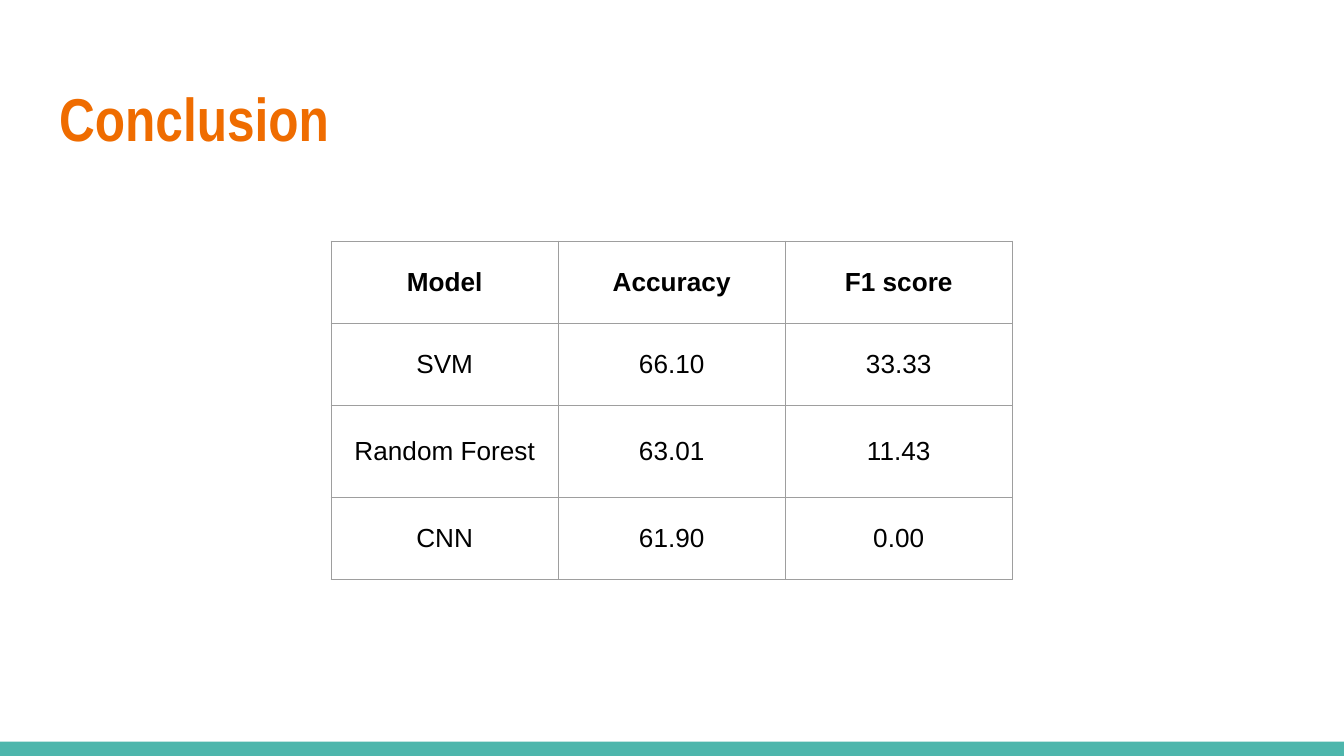
from lxml import etree
from pptx import Presentation
from pptx import util as u
from pptx.dml import color
from pptx.enum import shapes, text
from pptx.oxml import ns

INSET = u.Cm(0.25)


def paint(target, value):
    """Give a fill a solid colour."""
    target.solid()
    target.fore_color.rgb = color.RGBColor.from_string(value)


def write(frame, words, size=14, font="Arial", ink="000000", bold=False, align=text.PP_ALIGN.LEFT):
    """Put one formatted line of text into a frame."""
    para = frame.paragraphs[0]
    para.alignment = align
    span = para.add_run()
    span.text = words
    span.font.size = u.Pt(size)
    span.font.name = font
    span.font.bold = bold
    paint(span.font.fill, ink)


def set_margins(holder):
    """Give a cell or text frame the same inset on each side."""
    for side in ("left", "right", "top", "bottom"):
        setattr(holder, f"margin_{side}", INSET)


def outline(cell, ink, width):
    """Draw a line on all four sides of a cell."""
    props = cell._tc.get_or_add_tcPr()
    for index, side in enumerate(("lnL", "lnR", "lnT", "lnB")):
        line = etree.Element(ns.qn(f"a:{side}"), w=str(u.Pt(width)))
        fill = etree.SubElement(line, ns.qn("a:solidFill"))
        etree.SubElement(fill, ns.qn("a:srgbClr"), val=ink)
        props.insert(index, line)


class Board:
    """Hold the style and the current slide."""

    accent, band, grid = "EF6C00", "4DB6AC", "9E9E9E"

    def __init__(self, slide):
        """Keep the slide and give it a white background."""
        self.slide = slide
        paint(slide.background.fill, "FFFFFF")

    def bar(self, left, top, width, height):
        """Add a plain coloured strip."""
        area = map(u.Cm, (left, top, width, height))
        box = self.slide.shapes.add_shape(shapes.MSO_SHAPE.RECTANGLE, *area)
        box.shadow.inherit = False
        box.line.fill.background()
        paint(box.fill, self.band)

    def title(self, words, left, top, width, height):
        """Add the slide heading."""
        area = map(u.Cm, (left, top, width, height))
        frame = self.slide.shapes.add_textbox(*area).text_frame
        frame.word_wrap = True
        frame.vertical_anchor = text.MSO_ANCHOR.MIDDLE
        set_margins(frame)
        write(frame, words, size=32.4, font="Arial Narrow", ink=self.accent, bold=True)

    def table(self, rows, left, top, column_width, heights):
        """Add a ruled table whose first row is bold."""
        columns = len(rows[0])
        area = map(u.Cm, (left, top, column_width * columns, sum(heights)))
        table = self.slide.shapes.add_table(len(rows), columns, *area).table
        table.first_row = table.horz_banding = False
        for column in table.columns:
            column.width = u.Cm(column_width)
        for index, (values, height) in enumerate(zip(rows, heights)):
            table.rows[index].height = u.Cm(height)
            for cell, value in zip(table.rows[index].cells, values):
                cell.fill.background()
                cell.vertical_anchor = text.MSO_ANCHOR.MIDDLE
                set_margins(cell)
                outline(cell, self.grid, 0.75)
                write(cell.text_frame, value, bold=index == 0, align=text.PP_ALIGN.CENTER)


def main():
    """Build the conclusion slide."""
    deck = Presentation()
    deck.slide_width, deck.slide_height = u.Cm(25.4), u.Cm(14.29)
    board = Board(deck.slides.add_slide(deck.slide_layouts[6]))
    board.bar(0, 14.02, 25.4, 0.27)
    board.title("Conclusion", 0.87, 1.24, 23.67, 1.96)
    results = [
        ("Model", "Accuracy", "F1 score"),
        ("SVM", "66.10", "33.33"),
        ("Random Forest", "63.01", "11.43"),
        ("CNN", "61.90", "0.00"),
    ]
    board.table(results, 6.26, 4.56, 4.29, (1.55, 1.55, 1.74, 1.55))
    deck.save("out.pptx")


if __name__ == "__main__":
    main()
